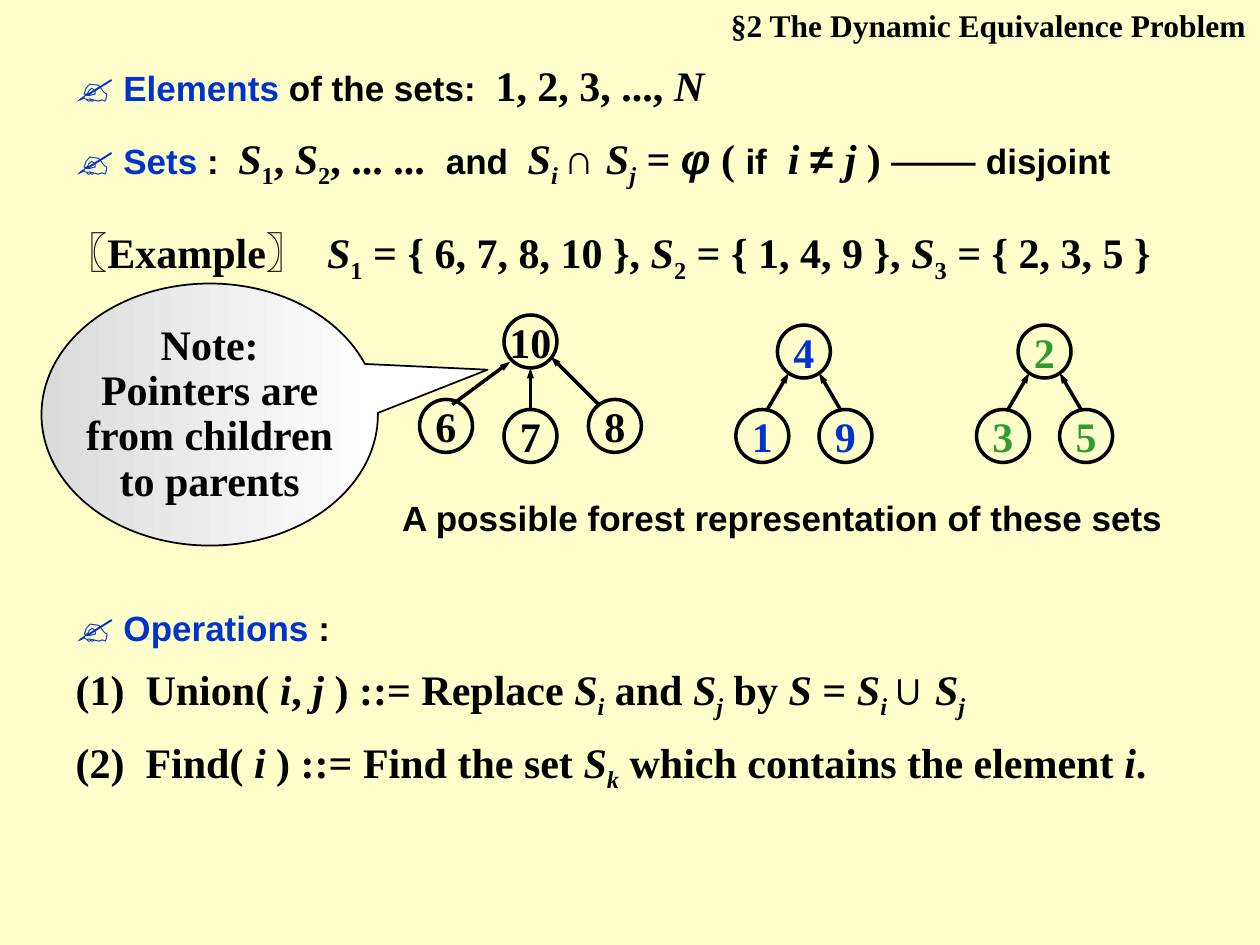
"""Build the slide on the dynamic equivalence problem."""
from lxml import etree
from pptx import Presentation
from pptx.dml.color import RGBColor
from pptx.enum.shapes import MSO_CONNECTOR, MSO_SHAPE
from pptx.enum.text import MSO_ANCHOR, MSO_AUTO_SIZE, PP_ALIGN
from pptx.oxml.ns import qn
from pptx.util import Inches, Pt

OVAL, CALLOUT = MSO_SHAPE.OVAL, MSO_SHAPE.OVAL_CALLOUT
STRAIGHT = MSO_CONNECTOR.STRAIGHT
TOP, MIDDLE = MSO_ANCHOR.TOP, MSO_ANCHOR.MIDDLE
LEFT, CENTER, RIGHT = PP_ALIGN.LEFT, PP_ALIGN.CENTER, PP_ALIGN.RIGHT
NO_FIT = MSO_AUTO_SIZE.NONE

CREAM = RGBColor(0xFF, 0xFF, 0xCC)
BLACK = RGBColor(0, 0, 0)
BLUE = RGBColor(0x00, 0x33, 0xCC)
GREEN = RGBColor(0x33, 0x99, 0x33)
GREY = RGBColor(0xDB, 0xDB, 0xDB)
WHITE = RGBColor(0xFF, 0xFF, 0xFF)
SERIF, SANS = "Times New Roman", "Arial"

# style: font, size, colour, italic, subscript
STYLES = {
    "header": (SERIF, 18, BLACK, False, False),
    "roman": (SERIF, 24, BLACK, False, False),
    "italic": (SERIF, 24, BLACK, True, False),
    "sub": (SERIF, 24, BLACK, False, True),
    "isub": (SERIF, 24, BLACK, True, True),
    "sans": (SANS, 20, BLACK, False, False),
    "term": (SANS, 20, BLUE, False, False),
    "pen": (SANS, 24, BLUE, False, False),
    "symbol": (SANS, 24, BLACK, False, False),
    "phi": (SANS, 24, BLACK, True, False),
    "blue": (SERIF, 24, BLUE, False, False),
    "green": (SERIF, 24, GREEN, False, False),
}

PEN = ("✍", "pen")
S = ("S", "italic")
HEADER = [[("§2 The Dynamic Equivalence Problem", "header")]]
ELEMENTS = [[PEN, (" Elements", "term"), (" of the sets:  ", "sans"),
             ("1, 2, 3, ..., ", "roman"), ("N", "italic")]]
SETS = [[PEN, (" Sets ", "term"), (":  ", "sans"), S, ("1", "sub"), (", ", "roman"),
         S, ("2", "sub"), (", ... ...  ", "roman"), ("and  ", "sans"),
         S, ("i ", "isub"), ("∩ ", "symbol"), S, ("j", "isub"), (" = ", "roman"),
         ("φ", "phi"), (" ( ", "roman"), ("if", "sans"), ("  ", "roman"),
         ("i ", "italic"), ("≠ ", "symbol"), ("j", "italic"), (" ) —— ", "roman"),
         ("disjoint", "sans")]]
EXAMPLE = [[("〖Example〗  ", "roman"), S, ("1", "sub"), (" = { 6, 7, 8, 10 }, ", "roman"),
            S, ("2", "sub"), (" = { 1, 4, 9 }, ", "roman"),
            S, ("3", "sub"), (" = { 2, 3, 5 }", "roman")]]
CAPTION = [[("A possible forest representation of these sets", "sans")]]
NOTE = [[(line, "roman")] for line in
        ("Note:", "Pointers are", "from children", "to parents")]
OPERATIONS = [
    [PEN, (" Operations ", "term"), (":", "sans")],
    [("(1)  Union( ", "roman"), ("i", "italic"), (", ", "roman"), ("j ", "italic"),
     (") ::= Replace ", "roman"), S, ("i", "isub"), (" and ", "roman"), S, ("j", "isub"),
     (" by ", "roman"), S, (" = ", "roman"), S, ("i ", "isub"), ("∪ ", "symbol"),
     S, ("j", "isub")],
    [("(2)  Find( ", "roman"), ("i", "italic"), (" ) ::= Find the set ", "roman"),
     S, ("k", "isub"), (" which contains the element ", "roman"),
     ("i", "italic"), (".", "roman")],
]
TEXT_BOXES = [
    (ELEMENTS, (0.5, 0.42, 6.33, 0.5), LEFT, 1),
    (SETS, (0.5, 1, 8.5, 0.56), LEFT, 1),
    (EXAMPLE, (0.42, 1.75, 9.08, 0.56), LEFT, 1),
    (CAPTION, (2.75, 3.93, 6.92, 0.4), CENTER, 0.9),
]

# offsets from the root's centre: child centre, arrow start, arrow tip
LEFT_CHILD = ((-0.33, 0.67), (-0.29, 0.46), (-0.12, 0.17))
RIGHT_CHILD = ((0.33, 0.67), (0.29, 0.46), (0.12, 0.17))
TREES = [
    ("10", (4.21, 2.71), "roman", [
        ("6", ((-0.67, 0.67), (-0.62, 0.5), (-0.16, 0.16))),
        ("8", ((0.67, 0.67), (0.54, 0.5), (0.16, 0.12))),
        ("7", ((0, 0.75), (0, 0.54), (0, 0.21)))]),
    ("4", (6.38, 2.79), "blue", [("1", LEFT_CHILD), ("9", RIGHT_CHILD)]),
    ("2", (8.29, 2.79), "green", [("3", LEFT_CHILD), ("5", RIGHT_CHILD)]),
]
NODE = 0.42


def write(shape, lines, align, anchor=TOP, spacing=1, wrap=True):
    frame = shape.text_frame
    frame.word_wrap, frame.auto_size, frame.vertical_anchor = wrap, NO_FIT, anchor
    for index, spans in enumerate(lines):
        para = frame.add_paragraph() if index else frame.paragraphs[0]
        para.alignment, para.line_spacing, para.space_before = align, spacing, Pt(0)
        for text, style in spans:
            span = para.add_run()
            span.text = text
            font = span.font
            font.name, font.size, color, font.italic, lowered = (
                STYLES[style][0], Pt(STYLES[style][1]), *STYLES[style][2:])
            font.bold = True
            font.color.rgb = color
            if lowered:
                span._r.get_or_add_rPr().set("baseline", "-25000")
    return frame.paragraphs


def place(shape, area):
    shape.left, shape.top, shape.width, shape.height = map(Inches, area)


def add_node(tree, label, center, style):
    x, y = center
    node = tree.shapes.add_shape(OVAL, Inches(x - NODE / 2), Inches(y - NODE / 2),
                                 Inches(NODE), Inches(NODE))
    node.shadow.inherit = False
    node.fill.background()
    node.line.color.rgb, node.line.width = BLACK, Pt(2)
    write(node, [[(label, style)]], CENTER, MIDDLE, wrap=False)


def add_pointer(tree, start, tip):
    pointer = tree.shapes.add_connector(STRAIGHT, *map(Inches, (*start, *tip)))
    pointer.line.color.rgb, pointer.line.width = BLACK, Pt(2)
    etree.SubElement(pointer.line._get_or_add_ln(), qn("a:tailEnd"),
                     type="triangle", w="sm", len="med")
    etree.SubElement(pointer._element.spPr, qn("a:effectLst"))


def add_tree(page, label, root, style, children):
    tree = page.shapes.add_group_shape()
    add_node(tree, label, root, style)
    for child, offsets in children:
        center, start, tip = [(root[0] + dx, root[1] + dy) for dx, dy in offsets]
        add_node(tree, child, center, style)
        add_pointer(tree, start, tip)


def add_note(page):
    note = page.shapes.add_shape(CALLOUT, *map(Inches, (0.33, 2.25, 2.67, 2.08)))
    note.adjustments[0], note.adjustments[1] = 0.826, -0.171
    note.shadow.inherit = False
    note.fill.gradient()
    note.fill.gradient_angle = 0
    for stop, color, position in zip(note.fill.gradient_stops, (GREY, WHITE), (0, 1)):
        stop.color.rgb, stop.position = color, position
    note.line.color.rgb, note.line.width = BLACK, Pt(1)
    write(note, NOTE, CENTER, MIDDLE, 0.9, wrap=False)


def main():
    deck = Presentation()
    deck.slide_width, deck.slide_height = Inches(10), Inches(7.5)
    page = deck.slides.add_slide(deck.slide_layouts[1])
    page.background.fill.solid()
    page.background.fill.fore_color.rgb = CREAM

    title, body = page.placeholders
    place(title, (5.08, 0, 4.91, 0.4))
    write(title, HEADER, RIGHT)
    for lines, area, align, spacing in TEXT_BOXES:
        box = page.shapes.add_textbox(*map(Inches, area))
        write(box, lines, align, spacing=spacing)
    for tree in TREES:
        add_tree(page, *tree)
    add_note(page)

    place(body, (0.5, 4.71, 8.75, 1.64))
    for para, gap in zip(write(body, OPERATIONS, LEFT), (7.5, 9, 9)):
        para.space_after = Pt(gap)
        settings = para._p.get_or_add_pPr()
        settings.set("marL", "0")
        settings.set("indent", "0")
        etree.SubElement(settings, qn("a:buNone"))
    deck.save("out.pptx")


if __name__ == "__main__":
    main()
